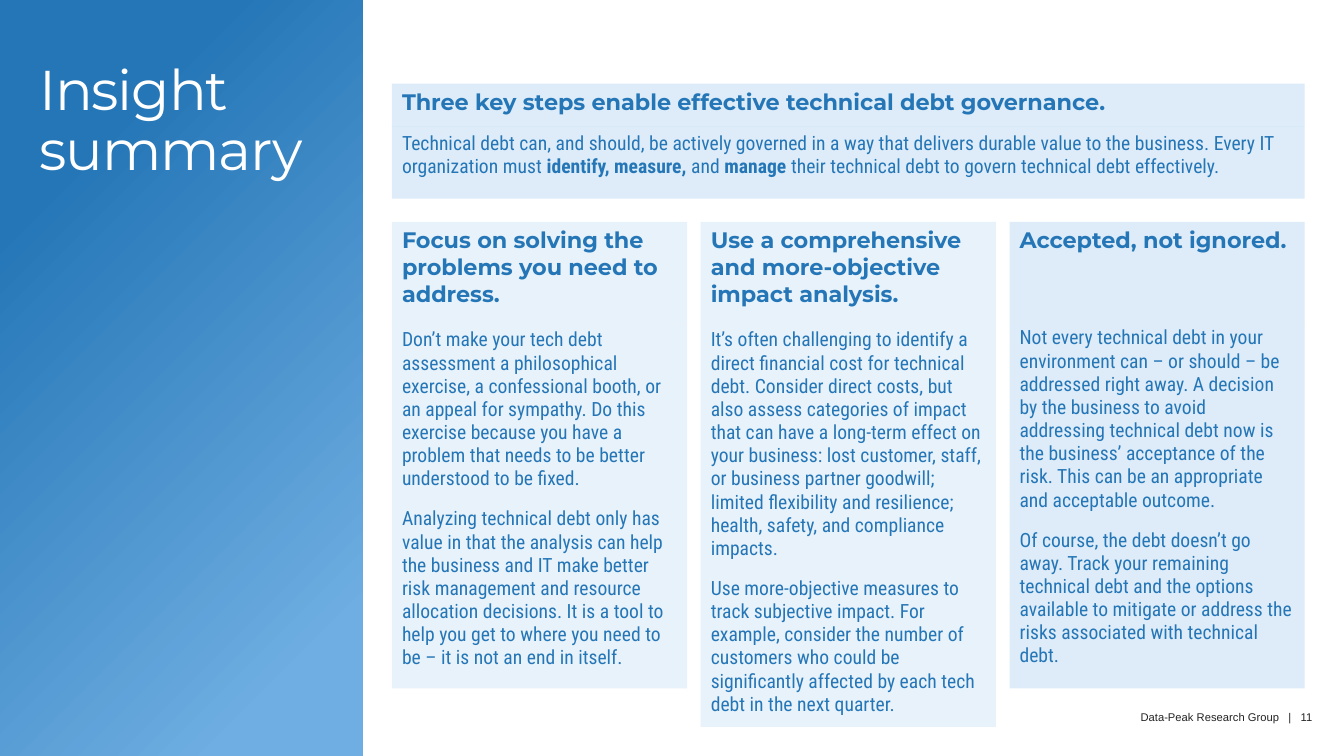
from dataclasses import dataclass

from lxml import etree
from pptx import Presentation
from pptx.dml.color import RGBColor
from pptx.enum.shapes import MSO_SHAPE
from pptx.enum.text import MSO_ANCHOR, PP_ALIGN
from pptx.oxml.ns import qn
from pptx.util import Inches, Pt

RECTANGLE = MSO_SHAPE.RECTANGLE
MIDDLE, TOP = MSO_ANCHOR.MIDDLE, MSO_ANCHOR.TOP
LEFT, RIGHT = PP_ALIGN.LEFT, PP_ALIGN.RIGHT

COLORS = {
    "blue": "2576B7",
    "sky": "6EAEE2",
    "pale": "9FC9EB",
    "white": "FFFFFF",
    "ink": "242424",
}
NO_STYLE_NO_GRID = "{2D5ABB26-0587-4C30-8999-92F81FD0307C}"
FILL_OPACITY = 23

COLUMN_LEFT, COLUMN_STEP, COLUMN_WIDTH = 3.89, 3.065, 2.93
COLUMN_TOP, COLUMN_HEIGHT = 2.2, 4.63


def color(name: str) -> RGBColor:
    return RGBColor.from_string(COLORS[name])


def font_format(name: str, size: float, color_name: str, bold: bool = False) -> dict:
    return {"name": name, "size": Pt(size), "bold": bold, "color": color_name}


TITLE = font_format("Montserrat", 40, "white")
HEADING = font_format("Montserrat", 16, "blue", True)
BODY = font_format("Roboto Condensed", 14, "blue")
STRONG = BODY | {"bold": True}
FOOTER = font_format("Arial", 8, "ink")


@dataclass
class Run:
    text: str
    format: dict


@dataclass
class Insight:
    heading: str
    paragraphs: list[list[Run]]
    fill: str
    heading_height: float
    space_after: float = 12


SUMMARY = Insight(
    "Three key steps enable effective technical debt governance.",
    [[
        Run("Technical debt can, and should, be actively governed in a way that delivers "
            "durable value to the business. Every IT organization must ", BODY),
        Run("identify, measure,", STRONG),
        Run(" and ", BODY),
        Run("manage ", STRONG),
        Run("their technical debt to govern technical debt effectively.", BODY),
    ]],
    "sky", 0.43, 0,
)

COLUMNS = [
    Insight(
        "Focus on solving the problems you need to address.",
        [
            [Run("Don’t make your tech debt assessment a philosophical exercise, a confessional "
                 "booth, or an appeal for sympathy. Do this exercise because you have a problem "
                 "that needs to be better understood to be fixed.", BODY)],
            [Run("Analyzing technical debt only has value in that the analysis can help the "
                 "business and IT make better risk management and resource allocation decisions. "
                 "It is a tool to help you get to where you need to be – it is not an end in "
                 "itself.", BODY)],
        ],
        "pale", 1.01,
    ),
    Insight(
        "Use a comprehensive and more-objective impact analysis.",
        [
            [Run("It’s often challenging to identify a direct financial cost for technical debt. "
                 "Consider direct costs, but also assess categories of impact that can have a "
                 "long-term effect on your business: lost customer, staff, or business partner "
                 "goodwill; limited flexibility and resilience; health, safety, and compliance "
                 "impacts.", BODY)],
            [Run("Use more-objective measures to track subjective impact. For example, consider "
                 "the number of customers who could be significantly affected by each tech debt "
                 "in the next quarter.", BODY)],
        ],
        "pale", 1.01,
    ),
    Insight(
        "Accepted, not ignored.",
        [
            [Run("Not every technical debt in your environment can – or should – be addressed "
                 "right away. A decision by the business to avoid addressing technical debt now "
                 "is the business’ acceptance of the risk. This can be an appropriate and "
                 "acceptable outcome.", BODY)],
            [Run("Of course, the debt doesn’t go away. Track your remaining technical debt and "
                 "the options available to mitigate or address the risks associated with "
                 "technical debt.", BODY)],
        ],
        "sky", 0.99,
    ),
]


def add_run(paragraph, run: Run):
    text_run = paragraph.add_run()
    text_run.text = run.text
    for attribute, value in run.format.items():
        if attribute == "color":
            text_run.font.color.rgb = color(value)
        else:
            setattr(text_run.font, attribute, value)
    return text_run


def fill_cell(cell, paragraphs: list[list[Run]], fill: str, space_after: float) -> None:
    """Write the paragraphs and give the cell a translucent fill."""
    for index, runs in enumerate(paragraphs):
        frame = cell.text_frame
        paragraph = frame.add_paragraph() if index else frame.paragraphs[0]
        paragraph.space_after = Pt(space_after)
        for run in runs:
            add_run(paragraph, run)
    cell.fill.solid()
    cell.fill.fore_color.rgb = color(fill)
    fill_color = next(cell._tc.tcPr.iter(qn("a:srgbClr")))
    etree.SubElement(fill_color, qn("a:alpha")).set("val", str(FILL_OPACITY * 1000))


def add_insight(slide, insight: Insight, left: float, top: float,
                width: float, height: float) -> None:
    frame = slide.shapes.add_table(
        2, 1, Inches(left), Inches(top), Inches(width), Inches(height))
    table = frame.table
    table.first_row = table.horz_banding = False
    table._tbl.tblPr.find(qn("a:tableStyleId")).text = NO_STYLE_NO_GRID
    table.rows[0].height = Inches(insight.heading_height)
    table.rows[1].height = Inches(height - insight.heading_height)
    heading = [[Run(insight.heading, HEADING)]]
    fill_cell(table.cell(0, 0), heading, insight.fill, 0)
    fill_cell(table.cell(1, 0), insight.paragraphs, insight.fill, insight.space_after)


def add_side_panel(slide) -> None:
    panel = slide.shapes.add_shape(RECTANGLE, 0, 0, Inches(3.6), Inches(7.5))
    panel.shadow.inherit = False
    panel.line.fill.background()
    panel.fill.gradient()
    panel.fill.gradient_angle = 315
    stops = [("blue", 0.21), ("sky", 0.87)]
    for stop, (name, position) in zip(panel.fill.gradient_stops, stops):
        stop.color.rgb = color(name)
        stop.position = position


def add_text(slide, run: Run, left: float, top: float, width: float, height: float,
             anchor=TOP, alignment=LEFT, line_spacing: float = 1, tracking: float = 0) -> None:
    box = slide.shapes.add_textbox(Inches(left), Inches(top), Inches(width), Inches(height))
    frame = box.text_frame
    settings = {"word_wrap": True, "vertical_anchor": anchor, "margin_left": 0,
                "margin_top": 0, "margin_right": 0, "margin_bottom": 0}
    for attribute, value in settings.items():
        setattr(frame, attribute, value)
    paragraph = frame.paragraphs[0]
    paragraph.alignment = alignment
    paragraph.line_spacing = line_spacing
    text_run = add_run(paragraph, run)
    if tracking:
        text_run.font._element.set("spc", str(round(tracking * 100)))


def main() -> None:
    presentation = Presentation()
    presentation.slide_width = Inches(13.34)
    presentation.slide_height = Inches(7.5)
    slide = presentation.slides.add_slide(presentation.slide_layouts[6])

    add_side_panel(slide)
    add_text(slide, Run("Insight summary", TITLE), 0.39, 0.58, 2.89, 1.27,
             anchor=MIDDLE, line_spacing=0.9, tracking=-0.8)
    add_insight(slide, SUMMARY, COLUMN_LEFT, 0.83, 9.06, 1.14)
    for index, insight in enumerate(COLUMNS):
        add_insight(slide, insight, COLUMN_LEFT + index * COLUMN_STEP, COLUMN_TOP,
                    COLUMN_WIDTH, COLUMN_HEIGHT)
    footer = "\u00a0\u00a0 ".join(["Data-Peak Research Group", "|", "11"])
    add_text(slide, Run(footer, FOOTER), 9.63, 7.05, 3.4, 0.13, alignment=RIGHT)
    presentation.save("out.pptx")


if __name__ == "__main__":
    main()
